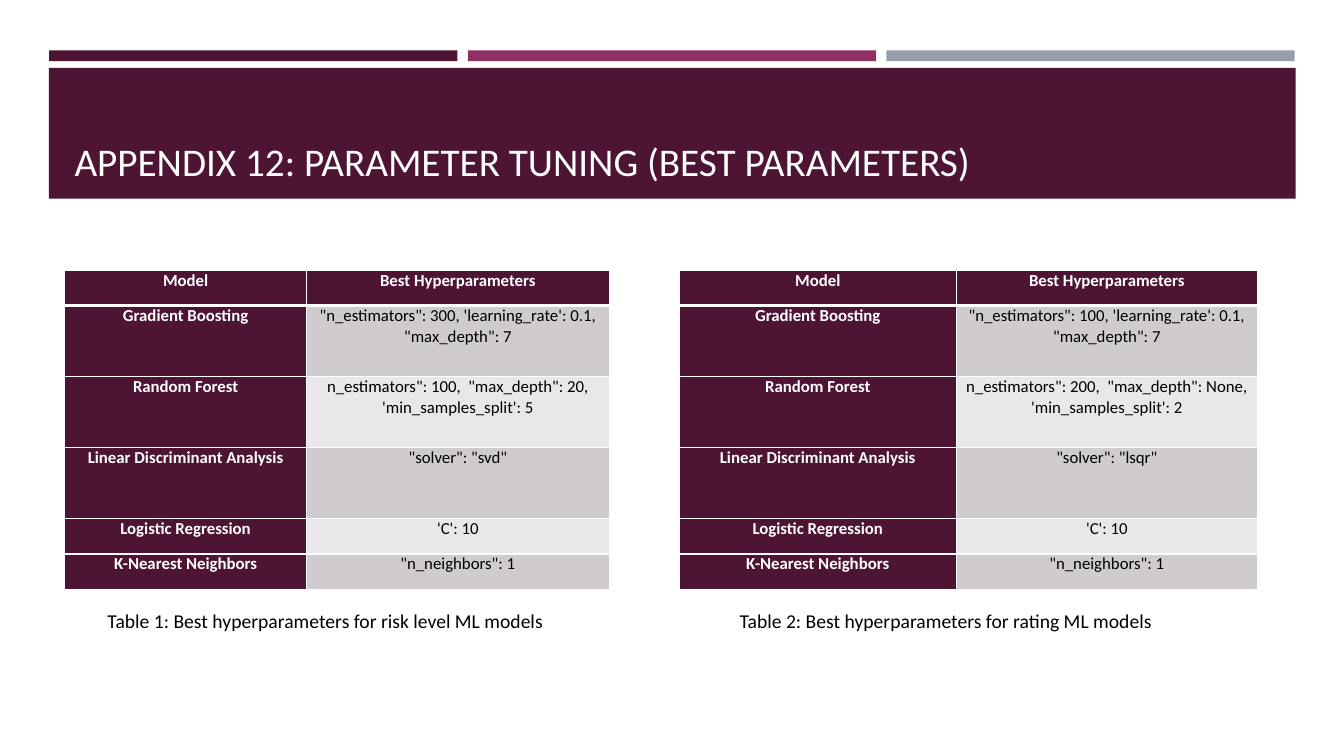
from lxml.etree import SubElement
from pptx import Presentation
from pptx.dml.color import RGBColor
from pptx.enum.shapes import MSO_SHAPE
from pptx.enum.text import MSO_ANCHOR, PP_ALIGN
from pptx.oxml.ns import qn
from pptx.util import Cm, Pt

PLUM, MAGENTA, GREY = "4D1434", "903163", "969FA7"
WHITE, BLACK = "FFFFFF", "000000"
BANDS = ["D0CCCE", "E9E7E8"]
FONT = "Calibri"
ROW_HEIGHTS = [0.89, 1.79, 1.79, 1.79, 0.89, 0.89]
MODELS = [
    "Model",
    "Gradient Boosting",
    "Random Forest",
    "Linear Discriminant Analysis",
    "Logistic Regression",
    "K-Nearest Neighbors",
]
RISK_LEVEL = [
    "Best Hyperparameters",
    "\"n_estimators\": 300, 'learning_rate': 0.1, \"max_depth\": 7",
    "n_estimators\": 100,  \"max_depth\": 20, 'min_samples_split': 5",
    '"solver": "svd"',
    "'C': 10",
    '"n_neighbors": 1',
]
RATING = [
    "Best Hyperparameters",
    "\"n_estimators\": 100, 'learning_rate': 0.1, \"max_depth\": 7",
    "n_estimators\": 200,  \"max_depth\": None, 'min_samples_split': 2",
    '"solver": "lsqr"',
    "'C': 10",
    '"n_neighbors": 1',
]


def paint(fill, color):
    """Give a fill one solid colour."""
    fill.solid()
    fill.fore_color.rgb = RGBColor.from_string(color)


def write(frame, text, size, color, bold=False):
    """Put one formatted paragraph in a text frame and return it."""
    para = frame.paragraphs[0]
    para.text = text
    for span in para.runs:
        span.font.name = FONT
        span.font.size = Pt(size)
        span.font.bold = bold
        span.font.color.rgb = RGBColor.from_string(color)
    return para


def add_bar(page, left, top, width, height, color):
    """Draw a plain filled rectangle."""
    bar = page.shapes.add_shape(
        MSO_SHAPE.RECTANGLE, Cm(left), Cm(top), Cm(width), Cm(height)
    )
    bar.shadow.inherit = False
    bar.line.fill.background()
    paint(bar.fill, color)


def add_label(page, left, top, width, height, text, size, color, anchor):
    """Add a wrapped text box."""
    box = page.shapes.add_textbox(Cm(left), Cm(top), Cm(width), Cm(height))
    box.text_frame.word_wrap = True
    box.text_frame.vertical_anchor = anchor
    write(box.text_frame, text, size, color)


def set_borders(cell, top, bottom):
    """Draw white borders, with the top and bottom widths in points."""
    properties = cell._tc.get_or_add_tcPr()
    for side, width in (("L", 1), ("R", 1), ("T", top), ("B", bottom)):
        line = SubElement(properties, qn(f"a:ln{side}"), w=str(Pt(width)))
        solid = SubElement(line, qn("a:solidFill"))
        SubElement(solid, qn("a:srgbClr"), val=WHITE)


def fill_cell(cell, text, row, heading):
    """Write and style one table cell."""
    cell.margin_left = cell.margin_right = Cm(0.18)
    cell.margin_top = cell.margin_bottom = 0
    set_borders(cell, 3 if row == 1 else 1, 3 if row == 0 else 1)
    paint(cell.fill, PLUM if heading else BANDS[(row - 1) % 2])
    color = WHITE if heading else BLACK
    para = write(cell.text_frame, text, 12, color, heading)
    para.alignment = PP_ALIGN.CENTER


def add_parameter_table(page, left, widths, parameters):
    """Add a table of models and their best hyperparameters."""
    table = page.shapes.add_table(
        len(MODELS), 2, Cm(left), Cm(6.81), Cm(sum(widths)), Cm(sum(ROW_HEIGHTS))
    ).table
    for column, width in zip(table.columns, widths):
        column.width = Cm(width)
    for row, texts in enumerate(zip(MODELS, parameters)):
        table.rows[row].height = Cm(ROW_HEIGHTS[row])
        for index, text in enumerate(texts):
            fill_cell(table.cell(row, index), text, row, row == 0 or index == 0)


def main():
    """Build the slide and save the deck."""
    deck = Presentation()
    deck.slide_width, deck.slide_height = Cm(33.87), Cm(19.05)
    page = deck.slides.add_slide(deck.slide_layouts[6])

    for index, color in enumerate([PLUM, MAGENTA, GREY]):
        add_bar(page, 1.24 + index * 10.55, 1.27, 10.29, 0.27, color)
    add_bar(page, 1.23, 1.71, 31.42, 3.3, PLUM)
    add_label(page, 1.63, 1.96, 30.63, 2.82,
              "APPENDIX 12: PARAMETER TUNING (BEST PARAMETERS)",
              28, WHITE, MSO_ANCHOR.BOTTOM)

    add_parameter_table(page, 1.63, [6.1, 7.62], RISK_LEVEL)
    add_parameter_table(page, 17.12, [6.98, 7.59], RATING)

    captions = [
        (2.46, "Table 1: Best hyperparameters for risk level ML models"),
        (18.39, "Table 2: Best hyperparameters for rating ML models"),
    ]
    for left, text in captions:
        add_label(page, left, 15.21, 12.8, 0.86, text, 14, BLACK, MSO_ANCHOR.TOP)

    deck.save("out.pptx")


if __name__ == "__main__":
    main()
